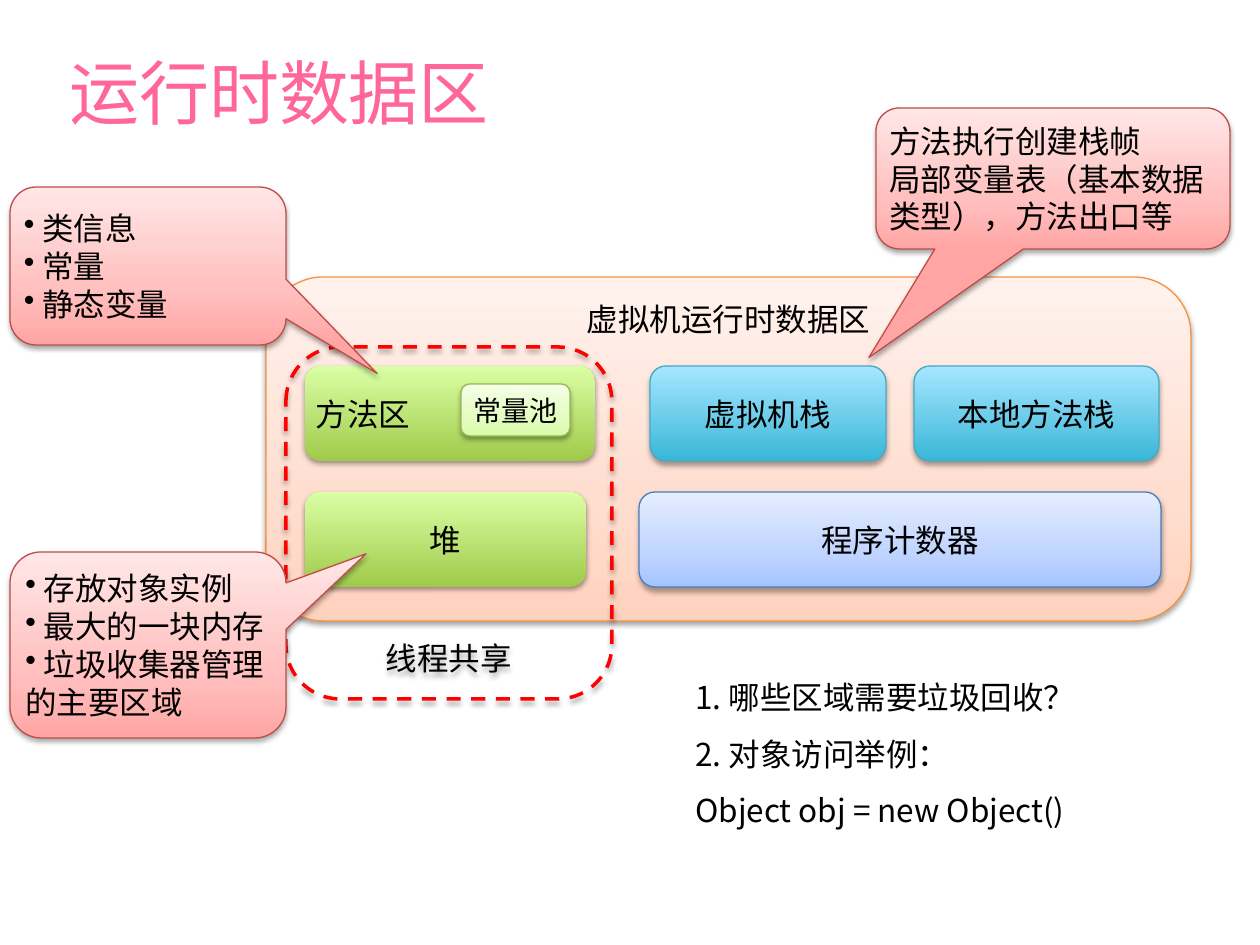
from copy import deepcopy
from lxml import etree
from pptx import Presentation, util as u
from pptx.dml.color import RGBColor
from pptx.enum import dml, shapes, text
from pptx.oxml.ns import qn

PX = 914400 // 126
FONT = "Noto Sans CJK SC"
LEFT, MID = text.PP_ALIGN.LEFT, text.PP_ALIGN.CENTER
TOP, CEN, LOW = text.MSO_ANCHOR.TOP, text.MSO_ANCHOR.MIDDLE, text.MSO_ANCHOR.BOTTOM
BOX = shapes.MSO_SHAPE.ROUNDED_RECTANGLE
NOTE = shapes.MSO_SHAPE.ROUNDED_RECTANGULAR_CALLOUT

# look: (gradient stops from bottom to top, line colour)
LOOKS = {
    "peach": ([(0, "FFD2BD"), (.35, "FFDED0"), (1, "FFF2ED")], "F69240"),
    "green": ([(0, "A0CA4A"), (1, "DAFFA5")], None),
    "cyan": ([(0, "39B7D8"), (1, "A7E6FF")], "46AAC5"),
    "blue": ([(0, "A4C4FF"), (.35, "BFD4FF"), (1, "E6EEFF")], "4B7EBC"),
    "lime": ([(0, "DAFDA7"), (.35, "E4FCC2"), (1, "F5FFE7")], "98B955"),
    "red": ([(0, "FFA6A5"), (.35, "FFC0BF"), (1, "FFE7E7")], "BF4C48"),
    "dash": ([], "FF0000"),
}

prs = Presentation()
prs.slide_width, prs.slide_height = 1260 * PX, 945 * PX
slide = prs.slides.add_slide(prs.slide_layouts[6])


def rgb(code):
    return RGBColor.from_string(code)


def write(shape, words, size=18, color="000000", align=LEFT, anchor=CEN, bullet=False):
    frame = shape.text_frame
    frame.text = words
    frame.word_wrap = True
    frame.vertical_anchor = anchor
    frame.margin_left = frame.margin_right = u.Inches(.05)
    frame.margin_top = frame.margin_bottom = u.Inches(.05)
    for para in frame.paragraphs:
        para.alignment = align
        if bullet:
            mark = etree.SubElement(para._p.get_or_add_pPr(), qn("a:buChar"))
            mark.set("char", "•")
        for run in para.runs:
            run.font.size = u.Pt(size)
            run.font.color.rgb = rgb(color)
            run.font.name = FONT
            east = etree.SubElement(run.font._element, qn("a:ea"))
            east.set("typeface", FONT)


title = slide.shapes.add_textbox(63 * PX, 0, 1134 * PX, 183 * PX)
write(title, "运行时数据区", 40, "FF6699")

# kind, place, look, words, size, align, anchor, bullet, pointer tip
parts = [
    (BOX, (266, 277, 925, 344), "peach", "虚拟机运行时数据区", 18, MID, TOP, False, None),
    (BOX, (305, 366, 290, 95), "green", "方法区", 18, LEFT, CEN, False, None),
    (BOX, (650, 366, 236, 95), "cyan", "虚拟机栈", 18, MID, CEN, False, None),
    (BOX, (914, 366, 245, 95), "cyan", "本地方法栈", 18, MID, CEN, False, None),
    (BOX, (305, 492, 281, 95), "green", "堆", 18, MID, CEN, False, None),
    (BOX, (639, 492, 522, 95), "blue", "程序计数器", 18, MID, CEN, False, None),
    (BOX, (461, 384, 109, 52), "lime", "常量池", 16, MID, CEN, False, None),
    (BOX, (286, 347, 326, 352), "dash", "线程共享", 18, MID, LOW, False, None),
    (NOTE, (876, 108, 354, 141), "red",
     "方法执行创建栈帧\n局部变量表（基本数据类型），方法出口等", 18, LEFT, CEN, False, (-.52, 1.27)),
    (NOTE, (10, 552, 276, 186), "red",
     " 存放对象实例\n 最大的一块内存\n 垃圾收集器管理的主要区域", 18, LEFT, CEN, True, (.79, -.49)),
    (NOTE, (10, 187, 276, 158), "red",
     " 类信息\n 常量\n 静态变量", 18, LEFT, CEN, True, (.83, .68)),
]

for kind, place, look, words, size, align, anchor, bullet, tip in parts:
    shape = slide.shapes.add_shape(kind, *(n * PX for n in place))
    stops, edge = LOOKS[look]
    if tip:
        shape.adjustments[0], shape.adjustments[1] = tip

    if stops:
        shape.fill.gradient()
        shape.fill.gradient_angle = 90
        group = shape._element.spPr.find(".//" + qn("a:gsLst"))
        if len(stops) == 3:
            group.insert(1, deepcopy(group[0]))
        for stop, (spot, code) in zip(shape.fill.gradient_stops, stops):
            stop.position = spot
            stop.color.rgb = rgb(code)
    else:
        shape.fill.background()

    if edge:
        shape.line.color.rgb = rgb(edge)
        shape.line.width = u.Pt(.75)
    else:
        shape.line.fill.background()
    if look == "dash":
        shape.line.width = u.Pt(2)
        shape.line.dash_style = dml.MSO_LINE.DASH

    shape.shadow.inherit = False
    effect = shape._element.spPr.find(qn("a:effectLst"))
    shade = etree.SubElement(effect, qn("a:outerShdw"), blurRad=str(u.Pt(3)),
                             dist=str(u.Pt(1.8 if edge else 1.6)),
                             dir="5400000", rotWithShape="0")
    tone = etree.SubElement(shade, qn("a:srgbClr"), val="000000")
    etree.SubElement(tone, qn("a:alpha"), val="35000" if edge else "38000")

    write(shape, words, size, align=align, anchor=anchor, bullet=bullet)

asks = slide.shapes.add_textbox(689 * PX, 653 * PX, 408 * PX, 184 * PX)
write(asks, "1. 哪些区域需要垃圾回收？\n2. 对象访问举例：\nObject obj = new Object()", anchor=TOP)
asks.text_frame.word_wrap = False
asks.text_frame.auto_size = text.MSO_AUTO_SIZE.SHAPE_TO_FIT_TEXT
for para in asks.text_frame.paragraphs:
    para.line_spacing = 1.5

prs.save("out.pptx")
